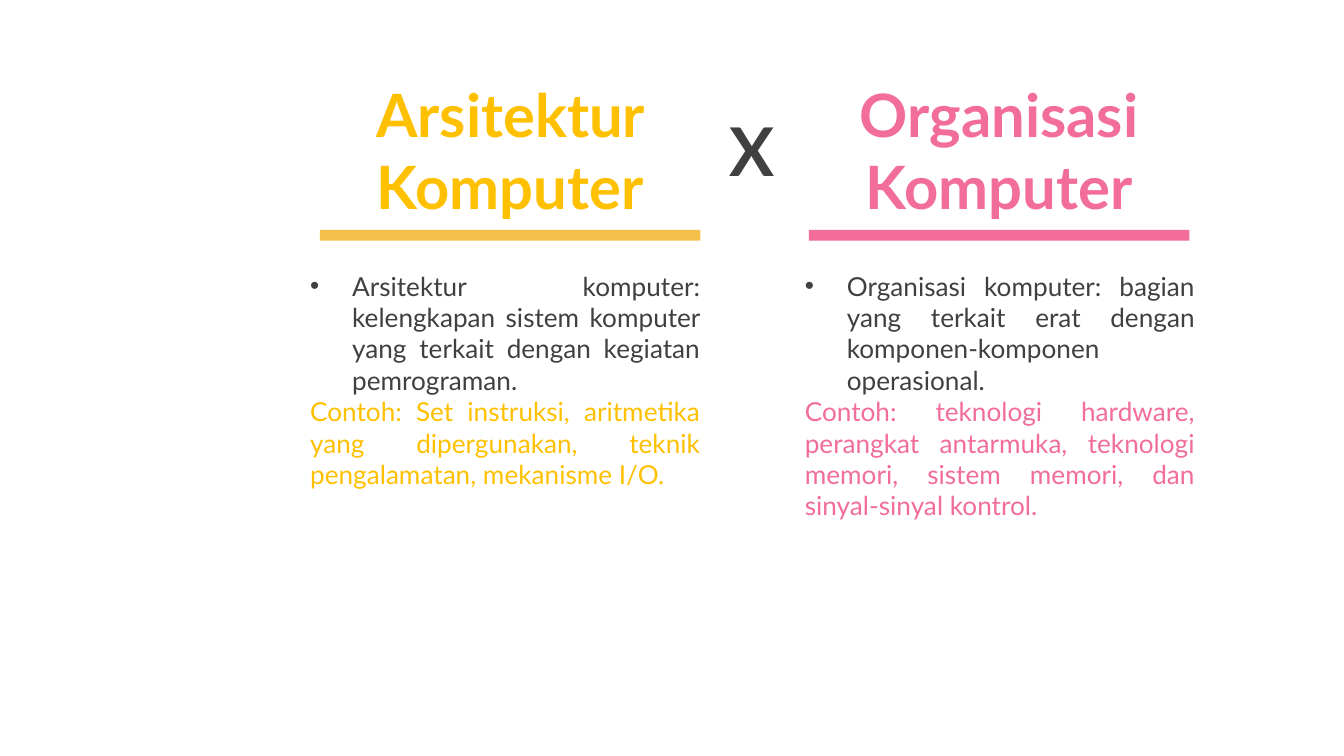
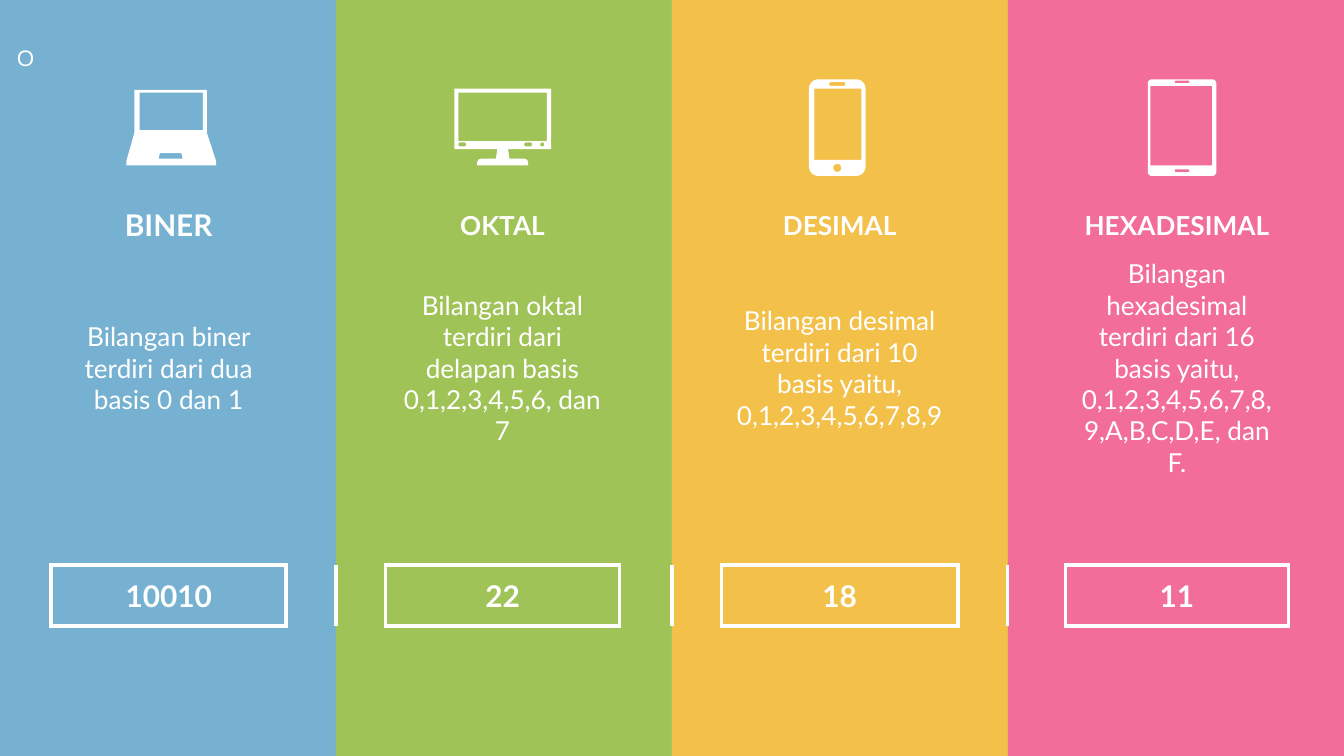
import math
from lxml import etree
from pptx import Presentation
from pptx.dml.color import RGBColor
from pptx.enum import shapes, text
from pptx.oxml import ns
from pptx.util import Pt

WHITE = RGBColor(0xFF, 0xFF, 0xFF)
DARK = RGBColor(0x40, 0x40, 0x40)
GOLD = RGBColor(0xFF, 0xC0, 0x00)
BLUE = RGBColor(0x76, 0xB1, 0xD1)
GREEN = RGBColor(0xA0, 0xC3, 0x58)
YELLOW = RGBColor(0xF3, 0xC0, 0x4A)
PINK = RGBColor(0xF2, 0x6D, 0x9A)
CENTER = text.PP_ALIGN.CENTER
JUSTIFY = text.PP_ALIGN.JUSTIFY
MIDDLE = text.MSO_ANCHOR.MIDDLE


def write(paragraph, wording, size, color, bold=False, align=CENTER, font="Lato"):
    paragraph.text = wording
    paragraph.alignment = align
    for run in paragraph.runs:
        run.font.name = font
        run.font.size = Pt(size)
        run.font.bold = bold
        run.font.color.rgb = color


def round_box(left, top, right, bottom, radius=0):
    if not radius:
        return [(left, top), (right, top), (right, bottom), (left, bottom)]
    corners = [
        (left + radius, top + radius, 180),
        (right - radius, top + radius, 270),
        (right - radius, bottom - radius, 0),
        (left + radius, bottom - radius, 90),
    ]
    return [
        (x + radius * math.cos(math.radians(start + step)),
         y + radius * math.sin(math.radians(start + step)))
        for x, y, start in corners
        for step in range(0, 91, 15)
    ]


presentation = Presentation()
presentation.slide_width = Pt(720)
presentation.slide_height = Pt(405)
blank = presentation.slide_layouts[6]
comparison = presentation.slides.add_slide(blank)
numbers = presentation.slides.add_slide(blank)

rectangles = [
    (comparison, 171.4, 123.1, 203.8, 5.8, YELLOW),
    (comparison, 433.4, 123.1, 203.8, 5.8, PINK),
]
for index, color in enumerate([BLUE, GREEN, YELLOW, PINK]):
    rectangles.append((numbers, index * 180, 0, 180, 405, color))
for slide, left, top, width, height, color in rectangles:
    shape = slide.shapes.add_shape(
        shapes.MSO_SHAPE.RECTANGLE, Pt(left), Pt(top), Pt(width), Pt(height))
    shape.shadow.inherit = False
    shape.fill.solid()
    shape.fill.fore_color.rgb = color
    shape.line.fill.background()

headings = [
    (171.4, 203.8, "Arsitektur Komputer", 32, GOLD, CENTER),
    (383.8, 41, "X", 36, DARK, text.PP_ALIGN.LEFT),
    (433.4, 203.8, "Organisasi Komputer", 32, PINK, CENTER),
]
for left, width, wording, size, color, align in headings:
    box = comparison.shapes.add_textbox(Pt(left), Pt(49.7), Pt(width), Pt(61.2))
    box.text_frame.word_wrap = True
    box.text_frame.vertical_anchor = MIDDLE
    write(box.text_frame.paragraphs[0], wording, size, color, True, align)

descriptions = [
    (159.1, 126, GOLD,
     "Arsitektur komputer: kelengkapan sistem komputer yang terkait dengan "
     "kegiatan pemrograman. ",
     "Contoh: Set instruksi, aritmetika yang dipergunakan, teknik "
     "pengalamatan, mekanisme I/O. "),
    (424.1, 143.3, PINK,
     "Organisasi komputer: bagian yang terkait erat dengan "
     "komponen-komponen operasional. ",
     "Contoh: teknologi hardware, perangkat antarmuka, teknologi memori, "
     "sistem memori, dan sinyal-sinyal kontrol."),
]
for left, height, color, definition, example in descriptions:
    box = comparison.shapes.add_textbox(Pt(left), Pt(141.1), Pt(223.2), Pt(height))
    frame = box.text_frame
    frame.word_wrap = True
    frame.auto_size = text.MSO_AUTO_SIZE.SHAPE_TO_FIT_TEXT
    bullet_paragraph = frame.paragraphs[0]
    write(bullet_paragraph, definition, 14, DARK, align=JUSTIFY)
    properties = bullet_paragraph._p.get_or_add_pPr()
    properties.set("marL", str(Pt(22.5)))
    properties.set("indent", str(-Pt(22.5)))
    etree.SubElement(properties, ns.qn("a:buFont")).set("typeface", "Arial")
    etree.SubElement(properties, ns.qn("a:buChar")).set("char", "•")
    write(frame.add_paragraph(), example, 14, color, align=JUSTIFY)

column_widths = [27.4, 126, 26.6, 26.6, 125.3, 28.1,
                 26.6, 126.7, 26.6, 31, 119.5, 28.8]
row_heights = [85.7, 28.1, 62.6, 10.1, 20.2, 32.4, 20.2]
graphic = numbers.shapes.add_table(
    len(row_heights), len(column_widths), Pt(0), Pt(20.9), Pt(720), Pt(336.2))
table = graphic.table
table.first_row = False
table.horz_banding = False
style = table._tbl.tblPr.find(ns.qn("a:tableStyleId"))
style.text = "{2D5ABB26-0587-4C30-8999-92F81FD0307C}"
for column, width in zip(table.columns, column_widths):
    column.width = Pt(width)
for row, height in zip(table.rows, row_heights):
    row.height = Pt(height)

systems = [
    ("BINER", 16, "Bilangan biner terdiri dari dua basis 0 dan 1", "10010"),
    ("OKTAL", 14,
     "Bilangan oktal terdiri dari delapan basis 0,1,2,3,4,5,6, dan 7", "22"),
    ("DESIMAL", 14,
     "Bilangan desimal terdiri dari 10 basis yaitu, 0,1,2,3,4,5,6,7,8,9", "18"),
    ("HEXADESIMAL", 14,
     "Bilangan hexadesimal terdiri dari 16 basis yaitu, "
     "0,1,2,3,4,5,6,7,8,9,A,B,C,D,E, dan F.", "11"),
]
write(table.cell(0, 0).text_frame.paragraphs[0], "O", 12, WHITE, font="Arial")
borders = {}
for index, (name, name_size, description, value) in enumerate(systems):
    column = 3 * index + 1
    for row, wording, size, bold in [
        (1, name, name_size, True),
        (2, description, 14, False),
        (5, value, 16, True),
    ]:
        cell = table.cell(row, column)
        cell.vertical_anchor = MIDDLE
        write(cell.text_frame.paragraphs[0], wording, size, WHITE, bold)
    borders[5, column] = "LRTB"
    borders[5, column - 1] = "R"
    borders[5, column + 1] = "L"
    borders[4, column] = "B"
    borders[6, column] = "T"

for row in range(len(row_heights)):
    for column in range(len(column_widths)):
        cell = table.cell(row, column)
        for side in borders.get((row, column), ""):
            line = etree.SubElement(
                cell._tc.get_or_add_tcPr(), ns.qn("a:ln" + side), w=str(Pt(2.25)))
            fill = etree.SubElement(line, ns.qn("a:solidFill"))
            etree.SubElement(fill, ns.qn("a:srgbClr")).set("val", str(WHITE))
        cell.fill.background()
        if not cell.text_frame.text:
            ending = etree.SubElement(
                cell.text_frame.paragraphs[0]._p, ns.qn("a:endParaRPr"), sz="1200")
            etree.SubElement(ending, ns.qn("a:latin")).set("typeface", "Arial")

laptop = [
    [(72, 48.2), (110.9, 48.2), (110.9, 71.3), (115.9, 86.4),
     (115.9, 88.6), (67.7, 88.6), (67.7, 86.4), (72, 71.3)],
    round_box(74.9, 49.7, 108.7, 69.8),
    [(85.7, 82.1), (85, 85), (97.9, 85), (97.2, 82.1)],
]
phone = [
    round_box(433.4, 42.5, 463.7, 94.3, 5),
    round_box(436.3, 47.5, 461.5, 85.7),
    round_box(446.4, 87.8, 450.7, 92.1, 2.15),
    round_box(444.2, 43.9, 452.9, 46.1, 1.1),
]
monitor = [
    [(243.4, 47.5), (295.2, 47.5), (295.2, 79.9), (272.2, 79.9),
     (272.9, 85), (280.8, 85), (282.4, 85.6), (283, 87.1), (283, 88.6),
     (255.6, 88.6), (255.6, 87.1), (256.2, 85.6), (257.8, 85),
     (265.7, 85), (266.4, 79.9), (243.4, 79.9)],
    round_box(245.5, 49.7, 293, 75.6),
    round_box(245.5, 76.3, 249.8, 78.5, 1.1),
    round_box(280.8, 76.3, 285.1, 78.5, 1.1),
    round_box(289.4, 76.3, 291.6, 78.5, 1.1),
]
tablet = [
    round_box(614.9, 42.5, 651.6, 94.3, 2.2),
    round_box(616.3, 46.1, 649.4, 88.6),
    round_box(629.3, 90.7, 637.2, 92.2, 0.7),
    round_box(629.3, 43.2, 637.2, 44.6, 0.7),
]
for outlines in [laptop, phone, monitor, tablet]:
    contours = [[(Pt(x), Pt(y)) for x, y in outline] for outline in outlines]
    builder = numbers.shapes.build_freeform(*contours[0][0])
    for contour in contours:
        if contour is not contours[0]:
            builder.move_to(*contour[0])
        builder.add_line_segments(contour[1:], close=True)
    icon = builder.convert_to_shape()
    icon.shadow.inherit = False
    icon.fill.solid()
    icon.fill.fore_color.rgb = WHITE
    icon.line.fill.background()

presentation.save("out.pptx")
